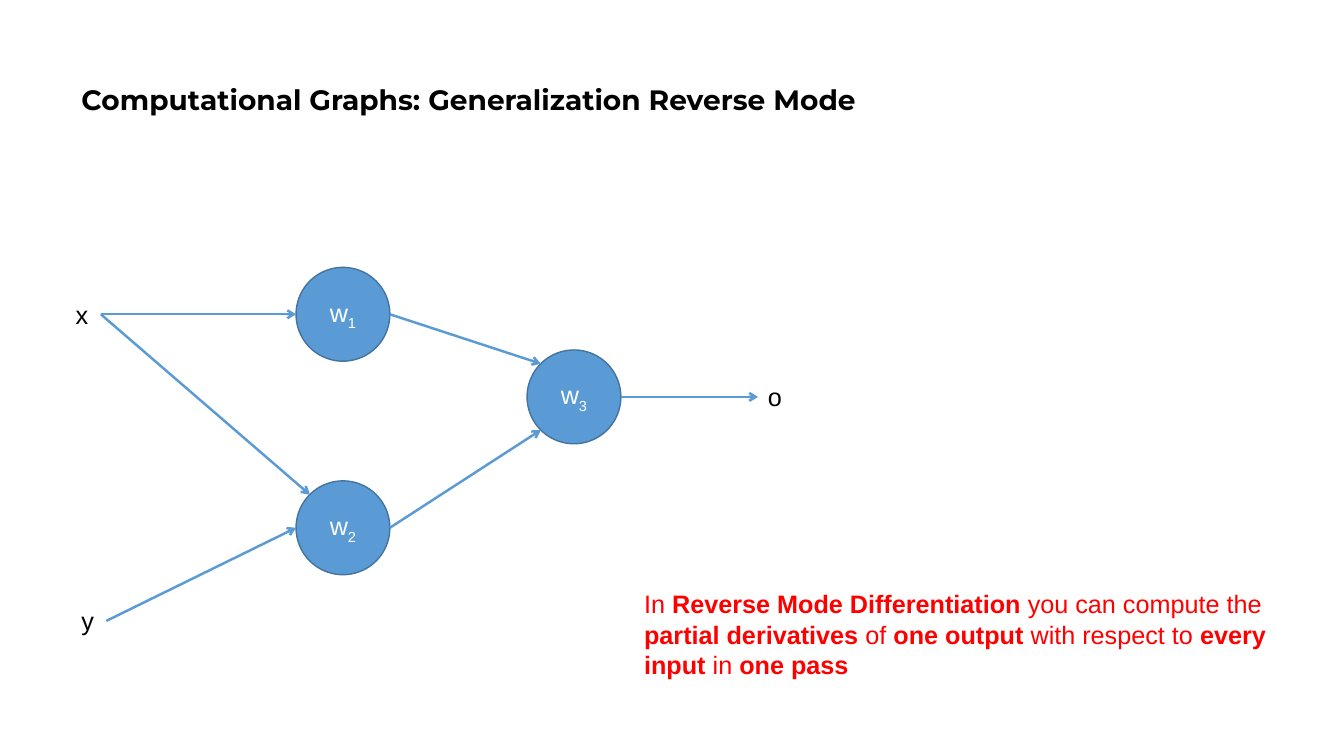
from math import cos, radians, sin

from lxml.etree import SubElement
from pptx import Presentation
from pptx.dml.color import RGBColor
from pptx.enum.shapes import MSO_CONNECTOR, MSO_SHAPE
from pptx.enum.text import MSO_ANCHOR, MSO_AUTO_SIZE, PP_ALIGN
from pptx.oxml.ns import qn
from pptx.util import Pt

COLORS = {"node": "5B9BD5", "outline": "43739E", "text": "000000",
          "node_text": "FFFFFF", "note": "FF0000"}
TITLE = "Computational Graphs: Generalization Reverse Mode"
# Centres in points
NODES = {"w1": (245, 224.5), "w2": (245, 377), "w3": (410, 283.5)}
LABELS = {"x": (59.5, 224.5), "y": (63.5, 443.5), "o": (554, 283.5)}
# Start, end, and the angle at which each meets a node (clockwise from the right)
EDGES = [("x", "w1", 0, 180), ("x", "w2", 0, 225), ("y", "w2", 0, 180),
         ("w1", "w3", 0, 225), ("w2", "w3", 0, 135), ("w3", "o", 0, 180)]
# Text and whether it is bold
NOTE = [("In ", False), ("Reverse Mode Differentiation", True),
        (" you can compute the ", False), ("partial derivatives", True),
        (" of ", False), ("one output", True), (" with respect to ", False),
        ("every input ", True), ("in ", False), ("one pass", True)]
DIAMETER = 67
LABEL_WIDTH, LABEL_HEIGHT = 25, 29


def color(name):
    return RGBColor.from_string(COLORS[name])


def set_font(paragraph, color_name, name="Arial", size=18):
    paragraph.font.name = name
    paragraph.font.size = Pt(size)
    paragraph.font.color.rgb = color(color_name)


def box_around(center, width, height):
    x, y = center
    return Pt(x - width / 2), Pt(y - height / 2), Pt(width), Pt(height)


def add_text_box(slide, box, wrap):
    frame_shape = slide.shapes.add_textbox(*box)
    frame_shape.text_frame.word_wrap = wrap
    frame_shape.text_frame.auto_size = MSO_AUTO_SIZE.SHAPE_TO_FIT_TEXT
    return frame_shape


def add_node(slide, name, center):
    node = slide.shapes.add_shape(
        MSO_SHAPE.OVAL, *box_around(center, DIAMETER, DIAMETER))
    node.shadow.inherit = False
    node.fill.solid()
    node.fill.fore_color.rgb = color("node")
    node.line.color.rgb = color("outline")
    node.line.width = Pt(1)
    node.text_frame.vertical_anchor = MSO_ANCHOR.MIDDLE
    paragraph = node.text_frame.paragraphs[0]
    paragraph.alignment = PP_ALIGN.CENTER
    set_font(paragraph, "node_text")
    paragraph.add_run().text = name[0]
    subscript = paragraph.add_run()
    subscript.text = name[1]
    subscript.font._element.set("baseline", "-25000")


def add_label(slide, text, center):
    label = add_text_box(
        slide, box_around(center, LABEL_WIDTH, LABEL_HEIGHT), False)
    label.text_frame.text = text
    set_font(label.text_frame.paragraphs[0], "text")
    return label


def edge_point(name, angle):
    """Return the point where an edge meets a node's rim or a label's side."""
    turn = radians(angle)
    if name in LABELS:
        x, y = LABELS[name]
        return Pt(x + LABEL_WIDTH / 2 * cos(turn)), Pt(y)
    x, y = NODES[name]
    return Pt(x + DIAMETER / 2 * cos(turn)), Pt(y + DIAMETER / 2 * sin(turn))


def add_edge(slide, labels, start, end, start_angle, end_angle):
    edge = slide.shapes.add_connector(
        MSO_CONNECTOR.STRAIGHT,
        *edge_point(start, start_angle), *edge_point(end, end_angle))
    if start in labels:
        edge.begin_connect(labels[start], 3)
    if end in labels:
        edge.end_connect(labels[end], 1)
    edge.line.color.rgb = color("node")
    edge.line.width = Pt(1.75)
    SubElement(edge.line._get_or_add_ln(), qn("a:tailEnd"), type="arrow")
    SubElement(edge._element.spPr, qn("a:effectLst"))


def add_title(slide):
    title = slide.shapes.title
    title.left, title.top, title.width, title.height = (
        Pt(51), Pt(20), Pt(828), Pt(104.5))
    title.text_frame.text = TITLE
    title.text_frame.vertical_anchor = MSO_ANCHOR.MIDDLE
    paragraph = title.text_frame.paragraphs[0]
    paragraph.alignment = PP_ALIGN.LEFT
    paragraph.line_spacing = 0.9
    set_font(paragraph, "text", "Montserrat", 20)
    paragraph.font.bold = True


def add_note(slide):
    note = add_text_box(slide, (Pt(453), Pt(417), Pt(474.5), Pt(72.5)), True)
    paragraph = note.text_frame.paragraphs[0]
    set_font(paragraph, "note")
    for text, bold in NOTE:
        run = paragraph.add_run()
        run.text = text
        run.font.bold = bold


def main():
    presentation = Presentation()
    presentation.slide_width, presentation.slide_height = Pt(960), Pt(540)
    slide = presentation.slides.add_slide(presentation.slide_layouts[5])
    add_title(slide)
    for name, center in NODES.items():
        add_node(slide, name, center)
    labels = {text: add_label(slide, text, center)
              for text, center in LABELS.items()}
    for edge in EDGES:
        add_edge(slide, labels, *edge)
    add_note(slide)
    presentation.save("out.pptx")


if __name__ == "__main__":
    main()
